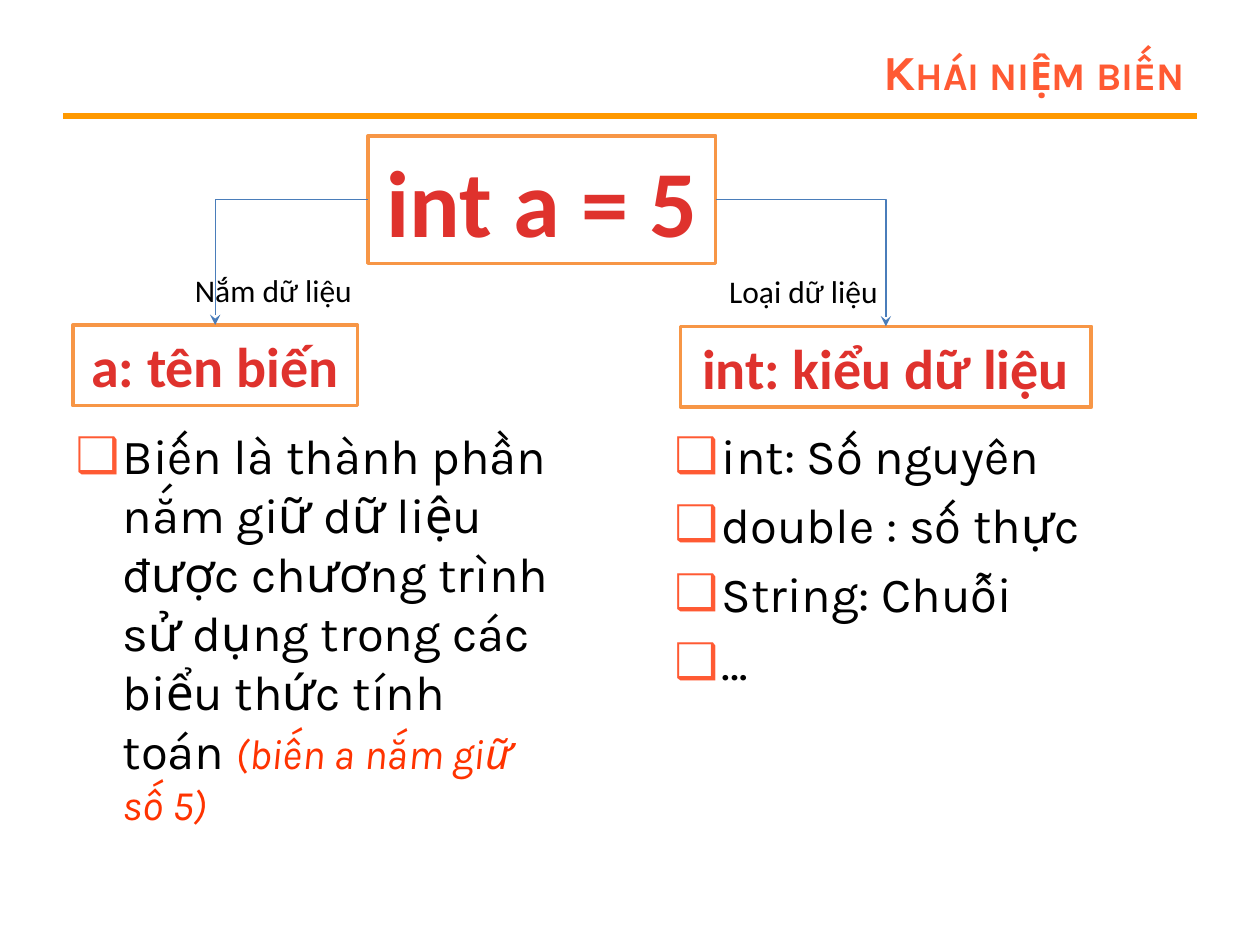
import pptx
import pptx.dml.color
import pptx.enum.shapes
import pptx.enum.text
import pptx.oxml
import pptx.oxml.ns
import pptx.util
from pptx.util import Cm

COLORS = {
    "heading": "FF5A33",
    "rule": "FF9900",
    "border": "F79646",
    "code": "DF322D",
    "note": "FF3300",
    "arrow": "4A7DBA",
    "text": "000000",
    "white": "FFFFFF",
}
HEADING_FONT = "Karla"
BOX_FONT = "Calibri"
TOP, LEFT, RIGHT = 0, 1, 3  # connection sites of a rectangle


def rgb(name):
    return pptx.dml.color.RGBColor.from_string(COLORS[name])


def xml(tag, attributes="", content=""):
    namespace = pptx.oxml.ns.nsdecls("a")
    return pptx.oxml.parse_xml(f"<a:{tag} {namespace} {attributes}>{content}</a:{tag}>")


def format_run(run, font, size, color, bold=False, italic=False):
    run.font.name = font
    run.font.size = pptx.util.Pt(size)
    run.font.color.rgb = rgb(color)
    run.font.bold = bold
    run.font.italic = italic


def place(shape, left, top, width, height):
    shape.left, shape.top = Cm(left), Cm(top)
    shape.width, shape.height = Cm(width), Cm(height)


def set_title(slide, text):
    title = slide.shapes.title
    place(title, 5.72, 0.76, 18.42, 1.35)
    frame = title.text_frame
    frame.text = text
    frame.auto_size = pptx.enum.text.MSO_AUTO_SIZE.NONE
    frame.vertical_anchor = pptx.enum.text.MSO_ANCHOR.MIDDLE
    paragraph = frame.paragraphs[0]
    paragraph.alignment = pptx.enum.text.PP_ALIGN.RIGHT
    run = paragraph.runs[0]
    format_run(run, HEADING_FONT, 28, "heading", bold=True)
    run.font._element.set("cap", "small")


def fill_list(placeholder, items, left, top, width, height):
    place(placeholder, left, top, width, height)
    frame = placeholder.text_frame
    frame.text = "\n".join(items)
    frame.auto_size = pptx.enum.text.MSO_AUTO_SIZE.NONE
    for index, paragraph in enumerate(frame.paragraphs):
        paragraph.space_before = pptx.util.Pt(5.6 if index else 0)
        properties = paragraph._p.get_or_add_pPr()
        properties.set("marL", str(Cm(0.95)))
        properties.set("indent", str(-Cm(0.95)))
        bullet_color = f'<a:srgbClr val="{COLORS["heading"]}"/>'
        properties.append(xml("buClr", content=bullet_color))
        properties.append(xml("buChar", 'char="❑"'))
        format_run(paragraph.runs[0], HEADING_FONT, 28, "text")


def add_box(slide, text, size, left, top, width, height):
    box = slide.shapes.add_shape(
        pptx.enum.shapes.MSO_SHAPE.RECTANGLE, Cm(left), Cm(top), Cm(width), Cm(height))
    box.shadow.inherit = False
    box.fill.solid()
    box.fill.fore_color.rgb = rgb("white")
    box.line.color.rgb = rgb("border")
    box.line.width = pptx.util.Pt(2)
    box.text_frame.text = text
    box.text_frame.word_wrap = False
    paragraph = box.text_frame.paragraphs[0]
    paragraph.alignment = pptx.enum.text.PP_ALIGN.CENTER
    format_run(paragraph.runs[0], BOX_FONT, size, "code", bold=True)
    return box


def add_label(slide, text, left, top, width, height):
    label = slide.shapes.add_textbox(Cm(left), Cm(top), Cm(width), Cm(height))
    label.text_frame.text = text
    label.text_frame.word_wrap = False
    format_run(label.text_frame.paragraphs[0].runs[0], BOX_FONT, 18, "text")


def add_line(slide, kind, color, width, ends=(0, 0, 0, 0)):
    line = slide.shapes.add_connector(kind, *(Cm(value) for value in ends))
    line.line.color.rgb = rgb(color)
    line.line.width = pptx.util.Pt(width)
    line._element.spPr.append(xml("effectLst"))
    return line


def add_bent_arrow(slide, source, site, target):
    arrow = add_line(slide, pptx.enum.shapes.MSO_CONNECTOR.ELBOW, "arrow", 0.75)
    arrow.begin_connect(source, site)
    arrow.end_connect(target, TOP)
    # One corner only: across, then down
    arrow._element.spPr.prstGeom.set("prst", "bentConnector2")
    arrow.line._get_or_add_ln().append(xml("tailEnd", 'type="stealth"'))


def main():
    presentation = pptx.Presentation()
    presentation.slide_width, presentation.slide_height = Cm(25.4), Cm(19.05)
    slide = presentation.slides.add_slide(presentation.slide_layouts[3])

    # Heading and rule
    set_title(slide, "Khái niệm biến")
    add_line(slide, pptx.enum.shapes.MSO_CONNECTOR.STRAIGHT, "rule", 3,
             (1.27, 2.34, 24.13, 2.34))

    # Lists
    definition, data_types = slide.placeholders[1], slide.placeholders[2]
    fill_list(definition, [
        "Biến là thành phần nắm giữ dữ liệu được chương trình "
        "sử dụng trong các biểu thức tính toán "], 1.27, 8.46, 10.16, 7.62)
    note = definition.text_frame.paragraphs[0].add_run()
    note.text = "(biến a nắm giữ số 5)"
    format_run(note, HEADING_FONT, 24, "note", italic=True)
    fill_list(data_types, ["int: Số nguyên", "double : số thực", "String: Chuỗi", "…"],
              13.34, 8.46, 11.63, 9.73)

    # Declaration and its two parts
    declaration = add_box(slide, "int a = 5", 54, 7.42, 2.74, 7.01, 2.57)
    variable = add_box(slide, "a: tên biến", 32, 1.47, 6.55, 5.74, 1.63)
    data_type = add_box(slide, "int: kiểu dữ liệu", 32, 13.72, 6.58, 8.28, 1.63)
    add_bent_arrow(slide, declaration, LEFT, variable)
    add_bent_arrow(slide, declaration, RIGHT, data_type)
    add_label(slide, "Nắm dữ liệu", 3.68, 5.33, 3.71, 1.02)
    add_label(slide, "Loại dữ liệu", 14.45, 5.36, 3.56, 1.02)

    presentation.save("out.pptx")


if __name__ == "__main__":
    main()
